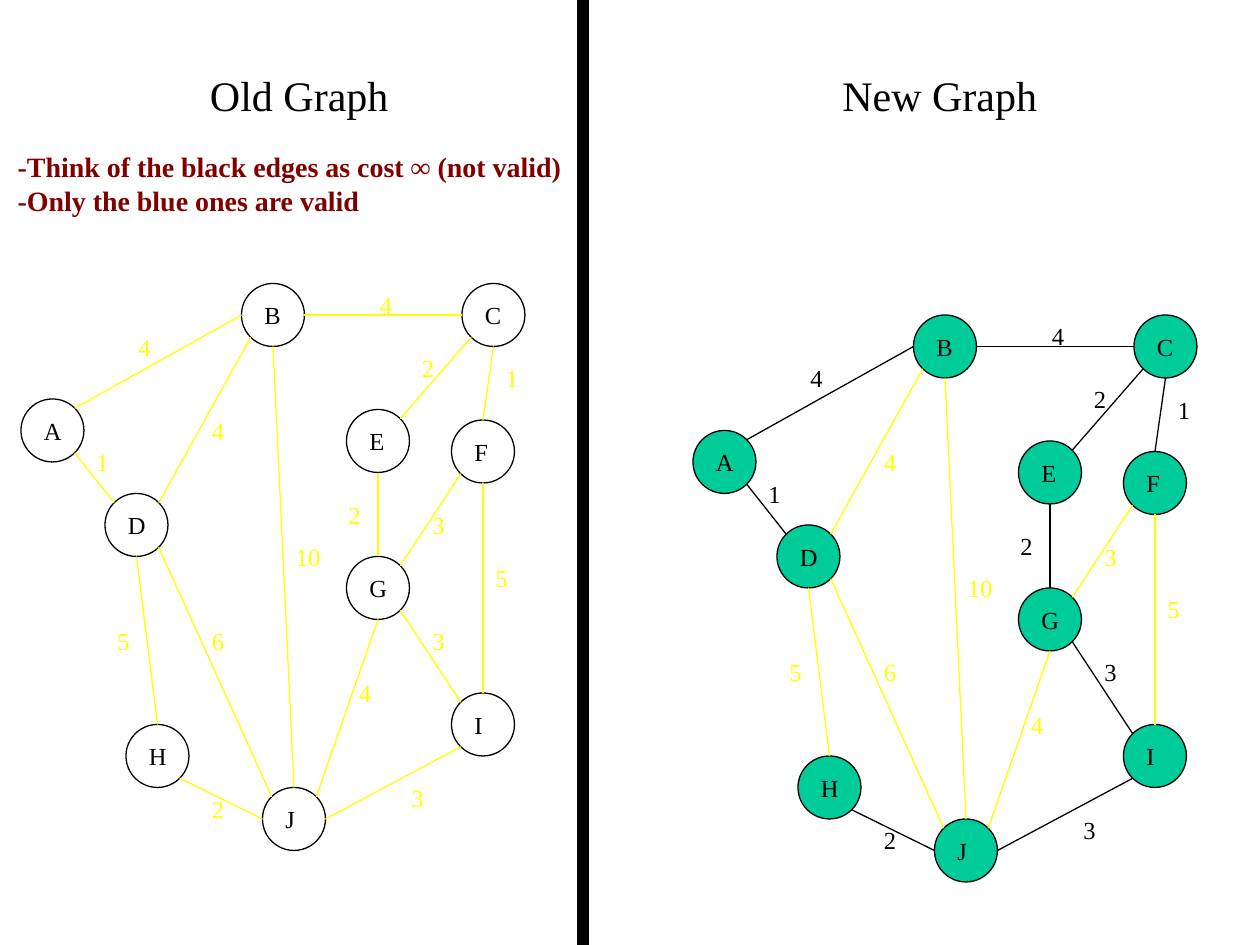
import math
from dataclasses import dataclass

import pptx
import pptx.dml.color
import pptx.enum.shapes
import pptx.enum.text
import pptx.oxml
import pptx.oxml.ns
import pptx.util
from pptx.dml.color import RGBColor
from pptx.util import Pt

BLACK = RGBColor(0x00, 0x00, 0x00)
YELLOW = RGBColor(0xFF, 0xFF, 0x00)
GREEN = RGBColor(0x00, 0xCC, 0x99)
MAROON = RGBColor(0x80, 0x00, 0x00)

FONT = "Times New Roman"
DIAMETER = 36
RADIUS = DIAMETER / 2
LINE_WIDTH = 0.75
LABEL_SIZE = 14
LABEL_HEIGHT = 24
LABEL_INSET = 6
SIDE_MARGINS = 14.4
DIGIT_WIDTH = 7

SITE_ANGLES = {
    "right": 0, "bottom right": 45, "bottom": 90, "bottom left": 135,
    "left": 180, "top left": 225, "top": 270, "top right": 315,
}


@dataclass(frozen=True)
class Vertex:
    left: float
    top: float
    label_width: float

    def site(self, side: str) -> tuple[float, float]:
        angle = math.radians(SITE_ANGLES[side])
        return (self.left + RADIUS + RADIUS * math.cos(angle),
                self.top + RADIUS + RADIUS * math.sin(angle))


@dataclass(frozen=True)
class Edge:
    start: str
    start_side: str
    end: str
    end_side: str
    cost: str
    cost_left: float
    cost_top: float
    in_tree: bool


@dataclass(frozen=True)
class GraphView:
    shift_x: float
    shift_y: float
    vertex_fill: RGBColor | None
    tree_color: RGBColor


VERTICES = {
    "A": Vertex(12, 228, 24.5),
    "B": Vertex(138, 162, 24),
    "C": Vertex(264, 162, 24),
    "D": Vertex(60, 282, 24.5),
    "E": Vertex(198, 234, 23),
    "F": Vertex(258, 240, 22.2),
    "G": Vertex(198, 318, 24.5),
    "H": Vertex(72, 414, 24.5),
    "I": Vertex(258, 396, 19),
    "J": Vertex(150, 450, 20),
}

EDGES = [
    Edge("B", "right", "C", "left", "4", 210, 162, True),
    Edge("B", "bottom left", "D", "top right", "4", 114, 234, False),
    Edge("D", "bottom right", "J", "top left", "6", 114, 354, False),
    Edge("J", "top right", "G", "bottom", "4", 198, 384, False),
    Edge("F", "bottom left", "G", "top right", "3", 240, 288, False),
    Edge("E", "bottom", "G", "top", "2", 192, 282, True),
    Edge("B", "bottom", "J", "top", "10", 162, 306, False),
    Edge("C", "bottom left", "E", "top right", "2", 234, 198, True),
    Edge("C", "bottom", "F", "top", "1", 282, 204, True),
    Edge("J", "right", "I", "bottom left", "3", 228, 444, True),
    Edge("J", "left", "H", "bottom right", "2", 114, 450, True),
    Edge("D", "top left", "A", "bottom right", "1", 48, 252, True),
    Edge("I", "top left", "G", "bottom right", "3", 240, 354, True),
    Edge("F", "bottom", "I", "top", "5", 276, 318, False),
    Edge("A", "top right", "B", "left", "4", 72, 186, True),
    Edge("D", "bottom", "H", "top", "5", 60, 354, False),
]

VIEWS = [
    GraphView(0, 0, None, YELLOW),
    GraphView(384, 18, GREEN, BLACK),
]


def write_text(frame, lines: list[str], size: float, color: RGBColor,
               bold: bool = False, align=None) -> None:
    frame.text = "\n".join(lines)
    for paragraph in frame.paragraphs:
        paragraph.alignment = align
        paragraph.font.name = FONT
        paragraph.font.size = Pt(size)
        paragraph.font.bold = bold
        paragraph.font.color.rgb = color


def add_label(slide, text: str, left: float, top: float, width: float,
              color: RGBColor) -> None:
    label = slide.shapes.add_textbox(Pt(left), Pt(top), Pt(width), Pt(LABEL_HEIGHT))
    label.text_frame.word_wrap = False
    label.text_frame.auto_size = pptx.enum.text.MSO_AUTO_SIZE.SHAPE_TO_FIT_TEXT
    write_text(label.text_frame, [text], LABEL_SIZE, color)


def add_outlined(slide, kind, left: float, top: float, width: float,
                 height: float, fill: RGBColor | None) -> None:
    shape = slide.shapes.add_shape(kind, Pt(left), Pt(top), Pt(width), Pt(height))
    shape.shadow.inherit = False
    shape.line.color.rgb = BLACK
    shape.line.width = Pt(LINE_WIDTH)
    if fill is None:
        shape.fill.background()
    else:
        shape.fill.solid()
        shape.fill.fore_color.rgb = fill


def draw_vertex(slide, name: str, vertex: Vertex, view: GraphView) -> None:
    left, top = vertex.left + view.shift_x, vertex.top + view.shift_y
    add_outlined(slide, pptx.enum.shapes.MSO_SHAPE.OVAL, left, top,
                 DIAMETER, DIAMETER, view.vertex_fill)
    add_label(slide, name, left + LABEL_INSET, top + LABEL_INSET,
              vertex.label_width, BLACK)


def draw_edge(slide, edge: Edge, view: GraphView) -> None:
    color = view.tree_color if edge.in_tree else YELLOW
    start_x, start_y = VERTICES[edge.start].site(edge.start_side)
    end_x, end_y = VERTICES[edge.end].site(edge.end_side)
    connector = slide.shapes.add_connector(
        pptx.enum.shapes.MSO_CONNECTOR.STRAIGHT,
        Pt(start_x + view.shift_x), Pt(start_y + view.shift_y),
        Pt(end_x + view.shift_x), Pt(end_y + view.shift_y))
    connector.line.color.rgb = color
    connector.line.width = Pt(LINE_WIDTH)
    properties = connector._element.spPr
    properties.append(properties.makeelement(pptx.oxml.ns.qn("a:effectLst")))
    add_label(slide, edge.cost, edge.cost_left + view.shift_x,
              edge.cost_top + view.shift_y,
              SIDE_MARGINS + DIGIT_WIDTH * len(edge.cost), color)


def format_heading(heading, text: str, left: float) -> None:
    heading.left, heading.top = Pt(left), Pt(36)
    heading.width, heading.height = Pt(210), Pt(36)
    frame = heading.text_frame
    frame.word_wrap = True
    frame.auto_size = pptx.enum.text.MSO_AUTO_SIZE.NONE
    frame.vertical_anchor = pptx.enum.text.MSO_ANCHOR.MIDDLE
    write_text(frame, [text], 24, BLACK, align=pptx.enum.text.PP_ALIGN.CENTER)


def main() -> None:
    presentation = pptx.Presentation()
    presentation.slide_width, presentation.slide_height = Pt(720), Pt(540)
    slide = presentation.slides.add_slide(presentation.slide_layouts[5])

    format_heading(slide.shapes.title, "Old Graph", 66)
    new_heading = slide.shapes.add_textbox(Pt(432), Pt(36), Pt(210), Pt(36))
    format_heading(new_heading, "New Graph", 432)

    add_outlined(slide, pptx.enum.shapes.MSO_SHAPE.RECTANGLE, 330, 0, 6, 540, BLACK)

    for view in VIEWS:
        for name, vertex in VERTICES.items():
            draw_vertex(slide, name, vertex, view)
        for edge in EDGES:
            draw_edge(slide, edge, view)

    note = slide.shapes.add_textbox(Pt(3), Pt(82), Pt(329), Pt(46))
    note.text_frame.word_wrap = False
    note.text_frame.auto_size = pptx.enum.text.MSO_AUTO_SIZE.SHAPE_TO_FIT_TEXT
    write_text(note.text_frame,
               ["-Think of the black edges as cost ∞ (not valid)",
                "-Only the blue ones are valid"], 16, MAROON, bold=True)

    presentation.save("out.pptx")


if __name__ == "__main__":
    main()
